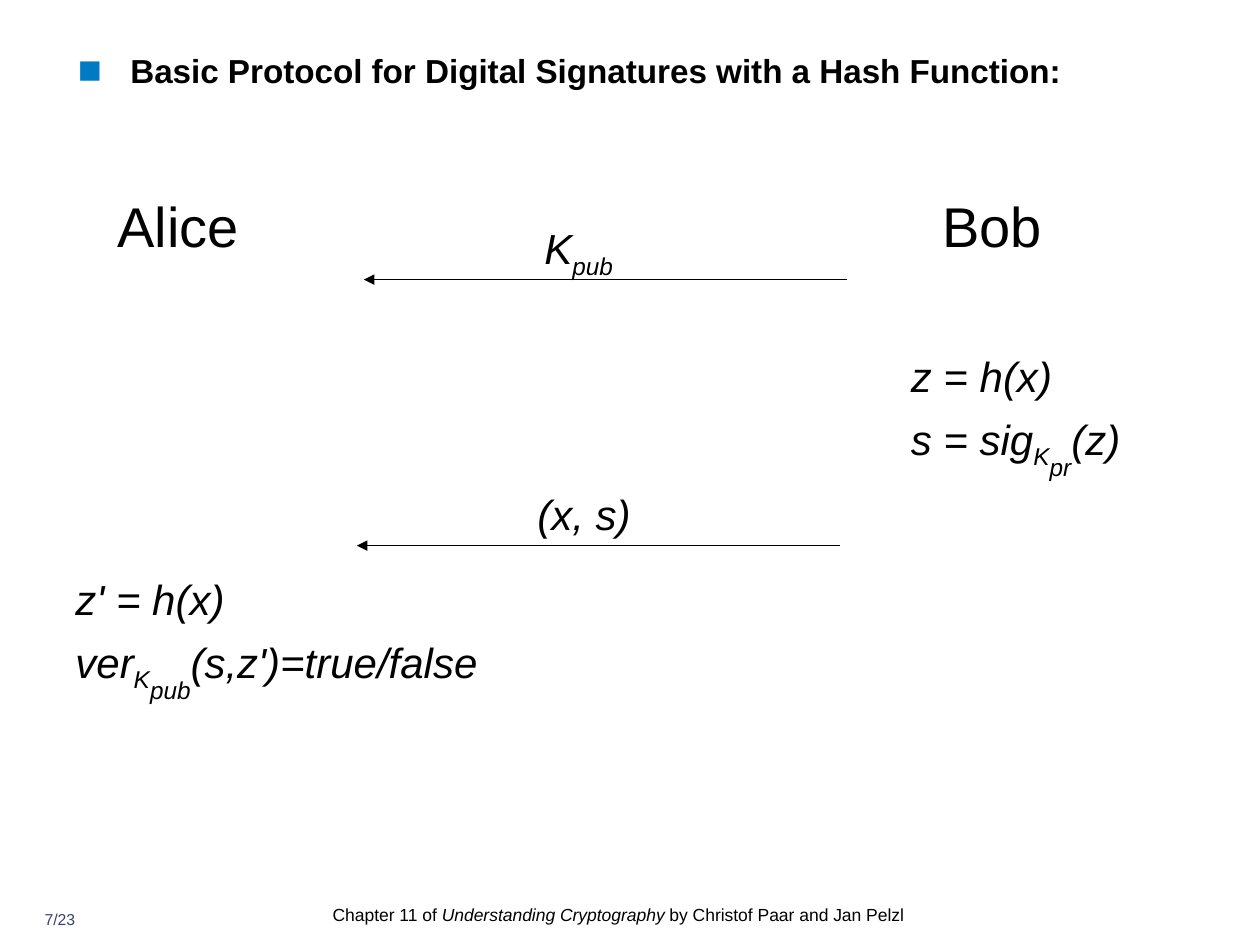
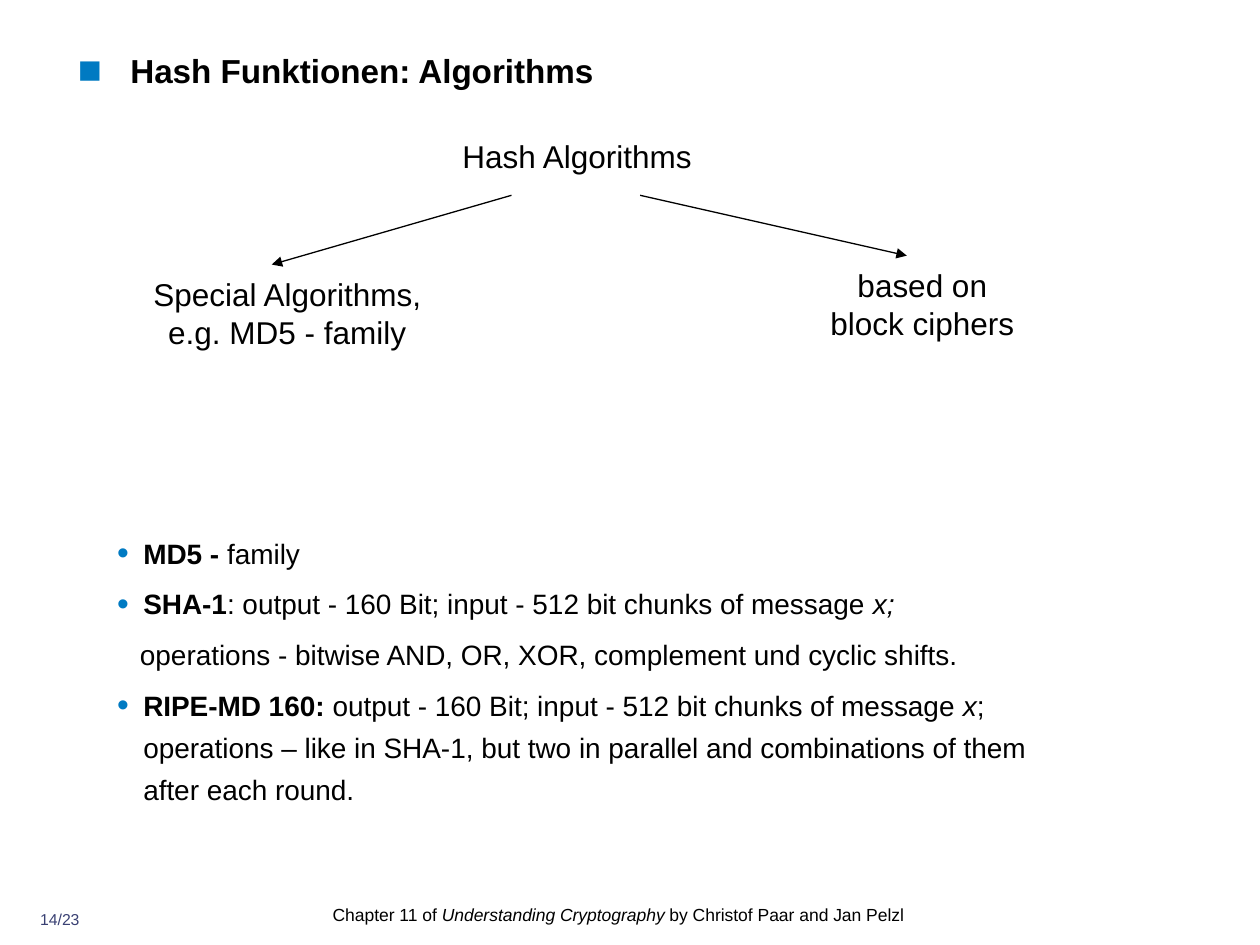
import pptx
import pptx.dml.color
import pptx.enum.shapes
import pptx.enum.text
import pptx.oxml.ns
import pptx.util
from lxml import etree

Pt = pptx.util.Pt
qualify = pptx.oxml.ns.qn
ALIGN = pptx.enum.text.PP_ALIGN

FONT = "Arial"
BLACK = "000000"
BULLET_BLUE = "007AC2"
PAGE_NUMBER_BLUE = "394073"
PAGE_COUNT = 23
FORMULA_ROW = 36

ITALIC = {"italic": True}
BOLD = {"bold": True}
SUBSCRIPT = {"baseline": -25}
LOW_SUBSCRIPT = {"baseline": -50}


def color(hex_text):
    """Turn a hex string into a colour."""
    return pptx.dml.color.RGBColor.from_string(hex_text)


def add_frame(shapes, box, inset=True, grow=False):
    """Add a wrapping text box at (left, top, width, height) and return its frame."""
    frame = shapes.add_textbox(*(Pt(length) for length in box)).text_frame
    frame.word_wrap = True
    frame.margin_left = frame.margin_right = Pt(7.2 if inset else 0)
    frame.margin_top = frame.margin_bottom = Pt(3.6 if inset else 0)
    if grow:
        frame.auto_size = pptx.enum.text.MSO_AUTO_SIZE.SHAPE_TO_FIT_TEXT
    return frame


def set_indent(paragraph, margin, bullet):
    """Indent a paragraph and hang a blue bullet in the margin if one is given."""
    properties = paragraph._p.get_or_add_pPr()
    properties.set("marL", str(Pt(margin)))
    properties.set("indent", str(Pt(-margin if bullet else 0)))
    if bullet:
        bullet_color = etree.SubElement(properties, qualify("a:buClr"))
        etree.SubElement(bullet_color, qualify("a:srgbClr"), val=BULLET_BLUE)
        etree.SubElement(properties, qualify("a:buSzPct"), val="120000")
        etree.SubElement(properties, qualify("a:buFont"), typeface=FONT)
        etree.SubElement(properties, qualify("a:buChar"), char=bullet)


def write_text(frame, *runs, size, hex_color=BLACK, align=ALIGN.LEFT, bold=False, italic=False,
               line_spacing=None, space_before=0, margin=0, bullet=None):
    """Write one paragraph of runs, each a string or a (string, format) pair."""
    is_first = not frame.text
    paragraph = frame.paragraphs[0] if is_first else frame.add_paragraph()
    set_indent(paragraph, margin, bullet)
    paragraph.alignment = align
    paragraph.line_spacing = line_spacing
    paragraph.space_before = Pt(0 if is_first else space_before)
    for item in runs:
        text, run_format = (item, {}) if isinstance(item, str) else item
        if text == "\n":
            paragraph.add_line_break()
            continue
        run = paragraph.add_run()
        run.text = text
        run.font.name = FONT
        run.font.size = Pt(size)
        run.font.color.rgb = color(hex_color)
        run.font.bold = run_format.get("bold", bold)
        run.font.italic = run_format.get("italic", italic)
        if "baseline" in run_format:
            run._r.get_or_add_rPr().set("baseline", str(run_format["baseline"] * 1000))


def add_arrow(shapes, start, end):
    """Draw a thin black arrow from start to end."""
    arrow = shapes.add_connector(pptx.enum.shapes.MSO_CONNECTOR.STRAIGHT,
                                 *(Pt(length) for length in (*start, *end)))
    arrow.line.color.rgb = color(BLACK)
    arrow.line.width = Pt(0.75)
    etree.SubElement(arrow.line._get_or_add_ln(), qualify("a:tailEnd"), type="triangle")
    etree.SubElement(arrow._element.spPr, qualify("a:effectLst"))


def add_base_slide(presentation, title, page):
    """Add a blank slide with page number, footer and bulleted title."""
    slide = presentation.slides.add_slide(presentation.slide_layouts[6])
    write_text(add_frame(slide.shapes, (14.4, 519.8, 39.6, 17.3), inset=False),
               f"{page}/{PAGE_COUNT}", size=9, hex_color=PAGE_NUMBER_BLUE, align=ALIGN.CENTER)
    write_text(add_frame(slide.shapes, (190.1, 514.1, 340.6, 20.2), inset=False),
               "Chapter 11 of ", ("Understanding Cryptography", ITALIC),
               " by Christof Paar and Jan Pelzl", size=10, line_spacing=1.2)
    write_text(add_frame(slide.shapes, (37.4, 25.2, 581.8, 40.3)),
               title, size=19, bold=True, margin=30, bullet="■")
    return slide


def add_party(shapes, box, name):
    """Write the name of one party of the protocol."""
    write_text(add_frame(shapes, box, grow=True), name, size=32, align=ALIGN.CENTER)


def add_formulas(shapes, box, formulas):
    """Stack formulas in rows from the top of the box."""
    left, top, width, height = box
    for row, formula in enumerate(formulas):
        row_box = (left, top + row * FORMULA_ROW, width, height / len(formulas))
        write_text(add_frame(shapes, row_box, grow=True), *formula, size=24, italic=True)


def add_message(shapes, box, label):
    """Draw a message sent leftwards along the bottom of the box, with its label above."""
    left, top, width, height = box
    group = shapes.add_group_shape()
    add_arrow(group.shapes, (left + width, top + height), (left, top + height))
    write_text(add_frame(group.shapes, (left + 96, top, 77.8, height), grow=True),
               *label, size=24, italic=True)


def add_tree(shapes, box, root, branches):
    """Draw a root label and arrows to branches given as (offset, arrow start, label)."""
    left, top, width, height = box
    label_width = 198.7
    root_box = (left + 165.6, top, label_width, height / 2)
    write_text(add_frame(shapes, root_box, inset=False, grow=True),
               root, size=18, align=ALIGN.CENTER)
    for (across, down), arrow_start, label in branches:
        branch_box = (left + across, top + down, label_width, 43.2)
        write_text(add_frame(shapes, branch_box, inset=False, grow=True),
                   *label, size=18, align=ALIGN.CENTER)
        add_arrow(shapes, (left + arrow_start, top + 33.1),
                  (left + across + 90.5, top + down - 5.8))


def add_algorithm_list(shapes, box, entries):
    """List algorithms as (bullet, margin, runs) entries."""
    frame = add_frame(shapes, box)
    for bullet, margin, runs in entries:
        write_text(frame, *runs, size=16, line_spacing=1.25, space_before=5,
                   margin=margin, bullet=bullet)


def build_protocol_slide(presentation):
    """Build the slide on the signature protocol."""
    title = "Basic Protocol for Digital Signatures with a Hash Function:"
    shapes = add_base_slide(presentation, title, 7).shapes
    add_party(shapes, (42.5, 105.8, 118.8, 46), "Alice")
    add_party(shapes, (507.6, 105.8, 118.8, 46), "Bob")
    add_formulas(shapes, (513.4, 196.6, 148.3, 80), [
        ["z = h(x)"],
        ["s = sig", ("K", SUBSCRIPT), ("pr", LOW_SUBSCRIPT), "(z)"],
    ])
    add_message(shapes, (204, 275.8, 276, 36), ["(x, s)"])
    add_formulas(shapes, (36, 324, 250.6, 80), [
        ["z' = h(x)"],
        ["ver", ("K", SUBSCRIPT), ("pub", LOW_SUBSCRIPT), "(s,z')=true/false"],
    ])
    add_message(shapes, (208, 123.8, 276, 36), ["K", ("pub", SUBSCRIPT)])


def build_algorithms_slide(presentation):
    """Build the slide on hash algorithms."""
    shapes = add_base_slide(presentation, "Hash Funktionen: Algorithms", 14).shapes
    add_algorithm_list(shapes, (59.8, 298.1, 544.3, 178.6), [
        ("•", 15, [("MD5 -", BOLD), " family"]),
        ("•", 15, [("SHA-1", BOLD), ": output - 160 Bit; input - 512 bit chunks of message ",
                   ("x;", ITALIC)]),
        (None, 13.1, ["operations - bitwise AND, OR, XOR, complement und cyclic shifts."]),
        ("•", 15, [("RIPE-MD 160:", BOLD),
                   " output - 160 Bit; input - 512 bit chunks of message ", ("x", ITALIC),
                   "; operations – like in SHA-1, but two in parallel and combinations of them"
                   " after each round."]),
    ])
    add_tree(shapes, (64.8, 78.5, 561.6, 109.4), "Hash Algorithms", [
        ((362.9, 73.4), 301, ["based on", "\n", "block ciphers"]),
        ((0, 78.5), 227.5, ["Special Algorithms,", "\n", "e.g. MD5 - family"]),
    ])


def main():
    """Build and save the presentation."""
    presentation = pptx.Presentation()
    presentation.slide_width = Pt(720)
    presentation.slide_height = Pt(540)
    build_protocol_slide(presentation)
    build_algorithms_slide(presentation)
    presentation.save("out.pptx")


if __name__ == "__main__":
    main()
